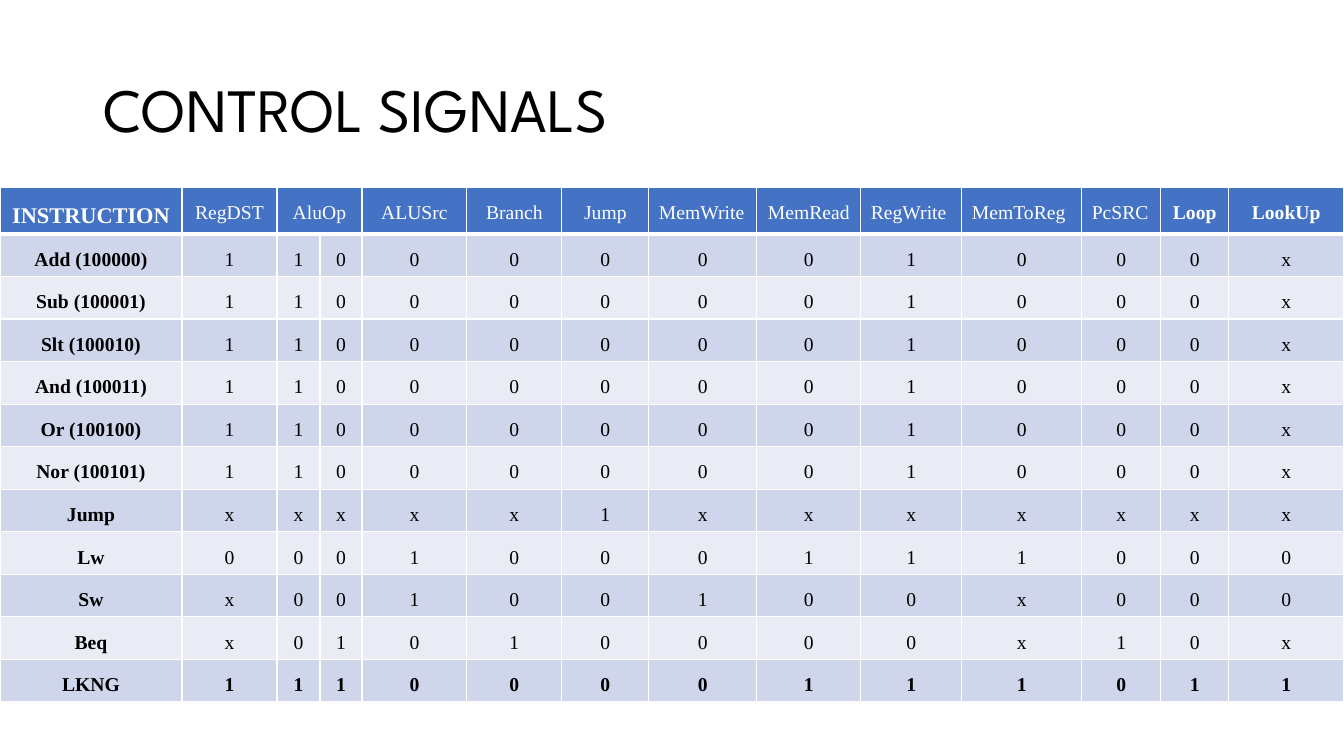
from dataclasses import dataclass
from itertools import pairwise

from lxml import etree
from pptx import Presentation
from pptx.dml.color import RGBColor
from pptx.enum.text import MSO_ANCHOR, PP_ALIGN
from pptx.oxml.ns import qn
from pptx.util import Emu, Pt

LEFT, CENTER = PP_ALIGN.LEFT, PP_ALIGN.CENTER
MIDDLE = MSO_ANCHOR.MIDDLE

TITLE = "CONTROL SIGNALS"
SIGNALS = ["INSTRUCTION", "RegDST", "AluOp", "", "ALUSrc", "Branch", "Jump", "MemWrite",
           "MemRead", "RegWrite", "MemToReg", "PcSRC", "Loop", "LookUp"]
INSTRUCTIONS = [
    ("Add (100000)", "110000001000x"),
    ("Sub (100001)", "110000001000x"),
    ("Slt (100010)", "110000001000x"),
    ("And (100011)", "110000001000x"),
    ("Or (100100)", "110000001000x"),
    ("Nor (100101)", "110000001000x"),
    ("Jump", "xxxxx1xxxxxxx"),
    ("Lw", "0001000111000"),
    ("Sw", "x00100100x000"),
    ("Beq", "x01010000x10x"),
    ("LKNG", "1110000111011"),
]
BOLD_SIGNALS = {"INSTRUCTION", "Loop", "LookUp"}
LEFT_SIGNALS = {"MemWrite", "RegWrite", "MemToReg", "PcSRC"}
BOLD_INSTRUCTION = "LKNG"


@dataclass(frozen=True)
class Theme:
    title_font: str = "League Spartan"
    table_font: str = "Times New Roman"
    title_size: int = 44
    corner_size: int = 16
    cell_size: int = 14
    ink: str = "000000"
    paper: str = "FFFFFF"
    header: str = "4472C4"
    bands: tuple = ("CFD5EA", "E9EBF5")
    thin: int = 1
    thick: int = 3


THEME = Theme()
SCALE = 9071.43
SLIDE_SIZE = (1344, 756)
TITLE_BOX = (93, 40, 1159, 146)
COLUMN_EDGES = [0, 182, 277, 320, 362, 467, 562, 649, 757, 861, 962, 1082, 1161, 1229, 1344]
TABLE_TOP, BODY_TOP, TABLE_BOTTOM = 187, 234, 702
CELL_MARGIN = 4


def px(length):
    return Emu(round(length * SCALE))


def format_text(paragraph, font_name, size, color, bold, align, spacing):
    paragraph.alignment = align
    paragraph.line_spacing = spacing
    for run in paragraph.runs:
        run.font.name = font_name
        run.font.size = Pt(size)
        run.font.bold = bold
        run.font.color.rgb = RGBColor.from_string(color)


def add_borders(cell, top, bottom):
    properties = cell._tc.get_or_add_tcPr()
    widths = {"a:lnL": THEME.thin, "a:lnR": THEME.thin, "a:lnT": top, "a:lnB": bottom}
    for position, (side, width) in enumerate(widths.items()):
        line = etree.Element(qn(side), w=str(Pt(width)))
        fill = etree.SubElement(line, qn("a:solidFill"))
        etree.SubElement(fill, qn("a:srgbClr"), val=THEME.paper)
        properties.insert(position, line)


def fill_cell(cell, words, row, column):
    is_header = row == 0
    if is_header:
        background, color = THEME.header, THEME.paper
        bold = words in BOLD_SIGNALS
    else:
        background, color = THEME.bands[(row - 1) % 2], THEME.ink
        bold = column == 0 or INSTRUCTIONS[row - 1][0] == BOLD_INSTRUCTION
    cell.margin_top = cell.margin_bottom = px(CELL_MARGIN)
    cell.fill.solid()
    cell.fill.fore_color.rgb = RGBColor.from_string(background)
    add_borders(cell, THEME.thick if row == 1 else THEME.thin,
                THEME.thick if is_header else THEME.thin)
    cell.text_frame.text = words
    format_text(cell.text_frame.paragraphs[0], THEME.table_font,
                THEME.corner_size if is_header and column == 0 else THEME.cell_size,
                color, bold, LEFT if words in LEFT_SIGNALS else CENTER, 1.5)


def add_title(slide):
    title = slide.shapes.title
    title.left, title.top, title.width, title.height = map(px, TITLE_BOX)
    title.text_frame.text = TITLE
    title.text_frame.vertical_anchor = MIDDLE
    format_text(title.text_frame.paragraphs[0], THEME.title_font, THEME.title_size,
                THEME.ink, False, LEFT, 0.9)


def add_signal_table(slide):
    rows = [SIGNALS] + [[name, *values] for name, values in INSTRUCTIONS]
    table = slide.shapes.add_table(
        len(rows), len(SIGNALS), 0, px(TABLE_TOP),
        px(COLUMN_EDGES[-1]), px(TABLE_BOTTOM - TABLE_TOP)).table
    table.horz_banding = False
    for column, (start, end) in zip(table.columns, pairwise(COLUMN_EDGES)):
        column.width = px(end - start)
    body_height = (TABLE_BOTTOM - BODY_TOP) / len(INSTRUCTIONS)
    for row, entries in enumerate(rows):
        table.rows[row].height = px(body_height if row else BODY_TOP - TABLE_TOP)
        for column, words in enumerate(entries):
            fill_cell(table.cell(row, column), words, row, column)
    alu_op = SIGNALS.index("AluOp")
    table.cell(0, alu_op).merge(table.cell(0, alu_op + 1))


deck = Presentation()
deck.slide_width, deck.slide_height = map(px, SLIDE_SIZE)
control_slide = deck.slides.add_slide(deck.slide_layouts[5])
add_title(control_slide)
add_signal_table(control_slide)
deck.save("out.pptx")
